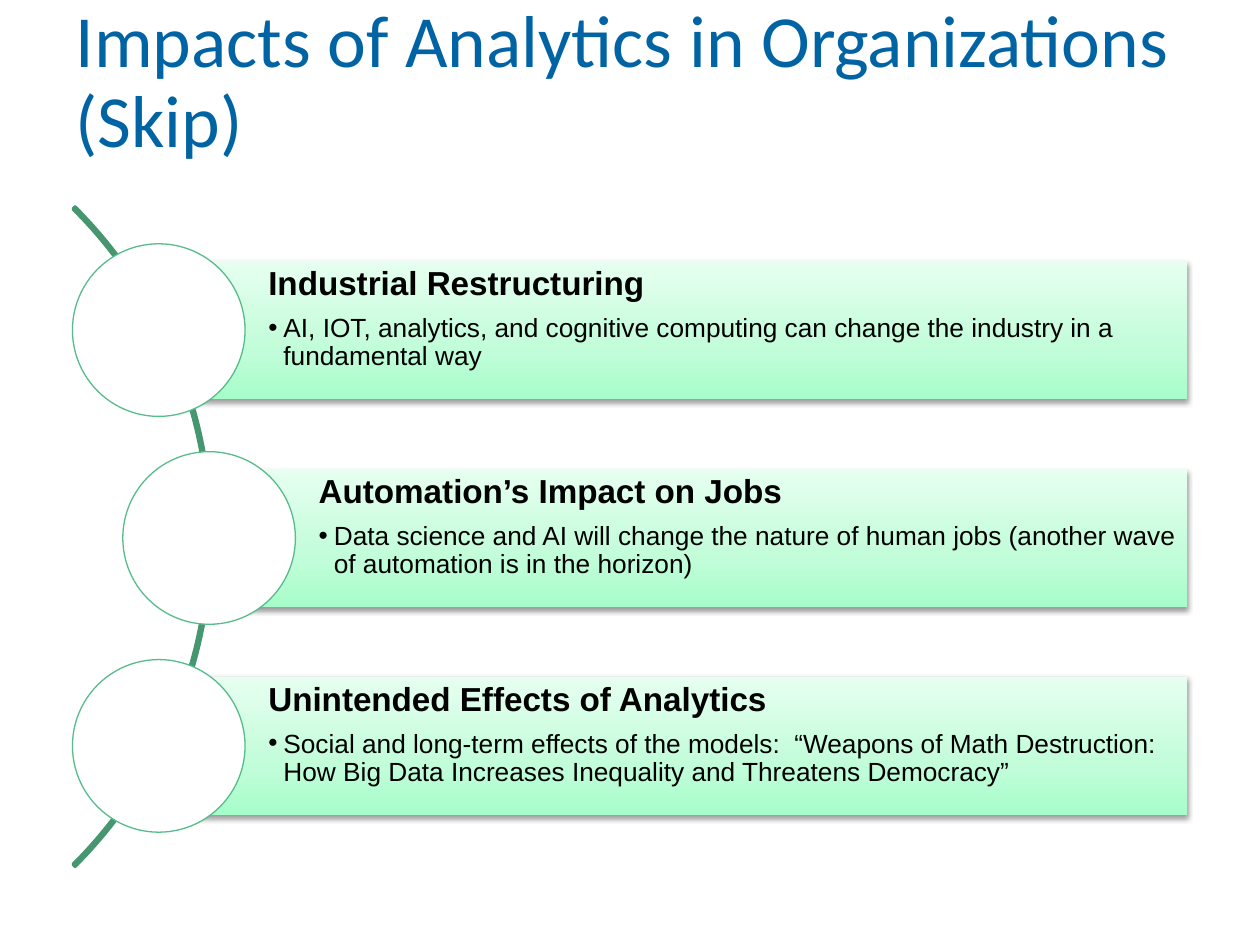
from dataclasses import dataclass

import pptx
import pptx.dml.color
import pptx.enum.shapes
import pptx.enum.text
import pptx.oxml
import pptx.oxml.ns
import pptx.util

Inches = pptx.util.Inches
Pt = pptx.util.Pt
RGBColor = pptx.dml.color.RGBColor
MSO_SHAPE = pptx.enum.shapes.MSO_SHAPE
MSO_ANCHOR = pptx.enum.text.MSO_ANCHOR
PP_ALIGN = pptx.enum.text.PP_ALIGN
qn = pptx.oxml.ns.qn

TITLE_BLUE = RGBColor(0x00, 0x64, 0xA4)
ARC_GREEN = RGBColor(0x46, 0x96, 0x6F)
RING_GREEN = RGBColor(0x57, 0xBB, 0x8A)
BLACK = RGBColor(0x00, 0x00, 0x00)
WHITE = RGBColor(0xFF, 0xFF, 0xFF)
BAR_STOPS = (
    (0, RGBColor(0xA6, 0xFD, 0xCA)),
    (35, RGBColor(0xC1, 0xFD, 0xD9)),
    (100, RGBColor(0xE6, 0xFF, 0xF0)),
)

BAR_RIGHT = 9.42
BAR_HEIGHT = 1.1
FIRST_CENTER_Y = 2.62
ROW_STEP = 1.65
CIRCLE_SIZE = 1.37


@dataclass
class Impact:
    heading: str
    detail: str
    center_x: float


IMPACTS = [
    Impact("Industrial Restructuring",
           "AI, IOT, analytics, and cognitive computing can change the "
           "industry in a fundamental way", 1.26),
    Impact("Automation’s Impact on Jobs",
           "Data science and AI will change the nature of human jobs "
           "(another wave of automation is in the horizon)", 1.66),
    Impact("Unintended Effects of Analytics",
           "Social and long-term effects of the models:  “Weapons of Math "
           "Destruction: How Big Data Increases Inequality and Threatens "
           "Democracy”", 1.26),
]


def xml(markup: str):
    """Parse one element written with the a: prefix."""
    head, sep, tail = markup.partition(">")
    slash = "/" if head.endswith("/") else ""
    head = head.rstrip("/")
    return pptx.oxml.parse_xml(
        f"{head} {pptx.oxml.ns.nsdecls('a')}{slash}{sep}{tail}")


def add_run(p, text: str, font: str, size: float, color: RGBColor,
            bold: bool = False) -> None:
    r = p.add_run()
    r.text = text
    r.font.name = font
    r.font.size = Pt(size)
    r.font.bold = bold
    r.font.color.rgb = color


def add_title(slide, text: str) -> None:
    sp = slide.shapes.title
    sp.left, sp.top = Inches(0.5), Inches(0.24)
    sp.width, sp.height = Inches(9), Inches(0.85)
    tf = sp.text_frame
    tf.word_wrap = True
    tf.auto_size = pptx.enum.text.MSO_AUTO_SIZE.NONE
    tf.vertical_anchor = MSO_ANCHOR.MIDDLE
    p = tf.paragraphs[0]
    p.alignment = PP_ALIGN.LEFT
    p.line_spacing = 0.9
    add_run(p, text, "Calibri", 42, TITLE_BLUE)


def add_arc(slide) -> None:
    sp = slide.shapes.add_shape(MSO_SHAPE.BLOCK_ARC, Inches(-5.72),
                                Inches(0.56), Inches(7.4), Inches(7.4))
    for i, value in enumerate((189, 27, 0.003)):
        sp.adjustments[i] = value
    sp.shadow.inherit = False
    sp.fill.background()
    sp.line.color.rgb = ARC_GREEN
    sp.line.width = Pt(2)


def style_bar(sp) -> None:
    """Give a bar its three-stop gradient and soft drop shadow."""
    sp.line.fill.background()
    sp.fill.gradient()
    sp_pr = sp.element.spPr
    grad = sp_pr.find(qn("a:gradFill"))
    for child in list(grad):
        grad.remove(child)
    stops = "".join(
        f'<a:gs pos="{pos * 1000}"><a:srgbClr val="{color}"/></a:gs>'
        for pos, color in BAR_STOPS)
    grad.append(xml(f"<a:gsLst>{stops}</a:gsLst>"))
    grad.append(xml('<a:lin ang="16200000" scaled="0"/>'))

    sp.shadow.inherit = False
    sp_pr.find(qn("a:effectLst")).append(xml(
        f'<a:outerShdw blurRad="{Pt(3.1)}" dist="{Pt(1.6)}" dir="5400000" '
        'rotWithShape="0"><a:srgbClr val="000000"><a:alpha val="38000"/>'
        '</a:srgbClr></a:outerShdw>'))


def add_bullet(p, indent: float) -> None:
    p_pr = p._p.get_or_add_pPr()
    p_pr.set("marL", str(Inches(indent)))
    p_pr.set("indent", str(Inches(-indent)))
    p_pr.append(xml('<a:buClr><a:srgbClr val="000000"/></a:buClr>'))
    p_pr.append(xml('<a:buFont typeface="Arial"/>'))
    p_pr.append(xml('<a:buChar char="•"/>'))


def add_bar(slide, impact: Impact, center_y: float) -> None:
    sp = slide.shapes.add_shape(
        MSO_SHAPE.RECTANGLE, Inches(impact.center_x),
        Inches(center_y - BAR_HEIGHT / 2),
        Inches(BAR_RIGHT - impact.center_x), Inches(BAR_HEIGHT))
    style_bar(sp)
    tf = sp.text_frame
    tf.word_wrap = True
    tf.vertical_anchor = MSO_ANCHOR.TOP
    tf.margin_left = Inches(0.87)
    tf.margin_top = tf.margin_right = tf.margin_bottom = Inches(0.05)

    heading, detail = tf.paragraphs[0], tf.add_paragraph()
    for p, space in ((heading, 6.65), (detail, 2.25)):
        p.alignment = PP_ALIGN.LEFT
        p.line_spacing = 0.9
        p.space_after = Pt(space)
    detail.level = 1
    add_bullet(detail, 0.12)
    add_run(heading, impact.heading, "Arial", 19, BLACK, bold=True)
    add_run(detail, impact.detail, "Arial", 15, BLACK)


def add_circle(slide, center_x: float, center_y: float) -> None:
    sp = slide.shapes.add_shape(
        MSO_SHAPE.OVAL, Inches(center_x - CIRCLE_SIZE / 2),
        Inches(center_y - CIRCLE_SIZE / 2),
        Inches(CIRCLE_SIZE), Inches(CIRCLE_SIZE))
    sp.shadow.inherit = False
    sp.fill.solid()
    sp.fill.fore_color.rgb = WHITE
    sp.line.color.rgb = RING_GREEN
    sp.line.width = Pt(0.75)


def main() -> None:
    prs = pptx.Presentation()
    prs.slide_width, prs.slide_height = Inches(10), Inches(7.5)
    slide = prs.slides.add_slide(prs.slide_layouts.get_by_name("Title Only"))
    add_title(slide, "Impacts of Analytics in Organizations (Skip)")
    add_arc(slide)
    for i, impact in enumerate(IMPACTS):
        center_y = FIRST_CENTER_Y + i * ROW_STEP
        add_bar(slide, impact, center_y)
        add_circle(slide, impact.center_x, center_y)
    prs.save("out.pptx")


if __name__ == "__main__":
    main()
